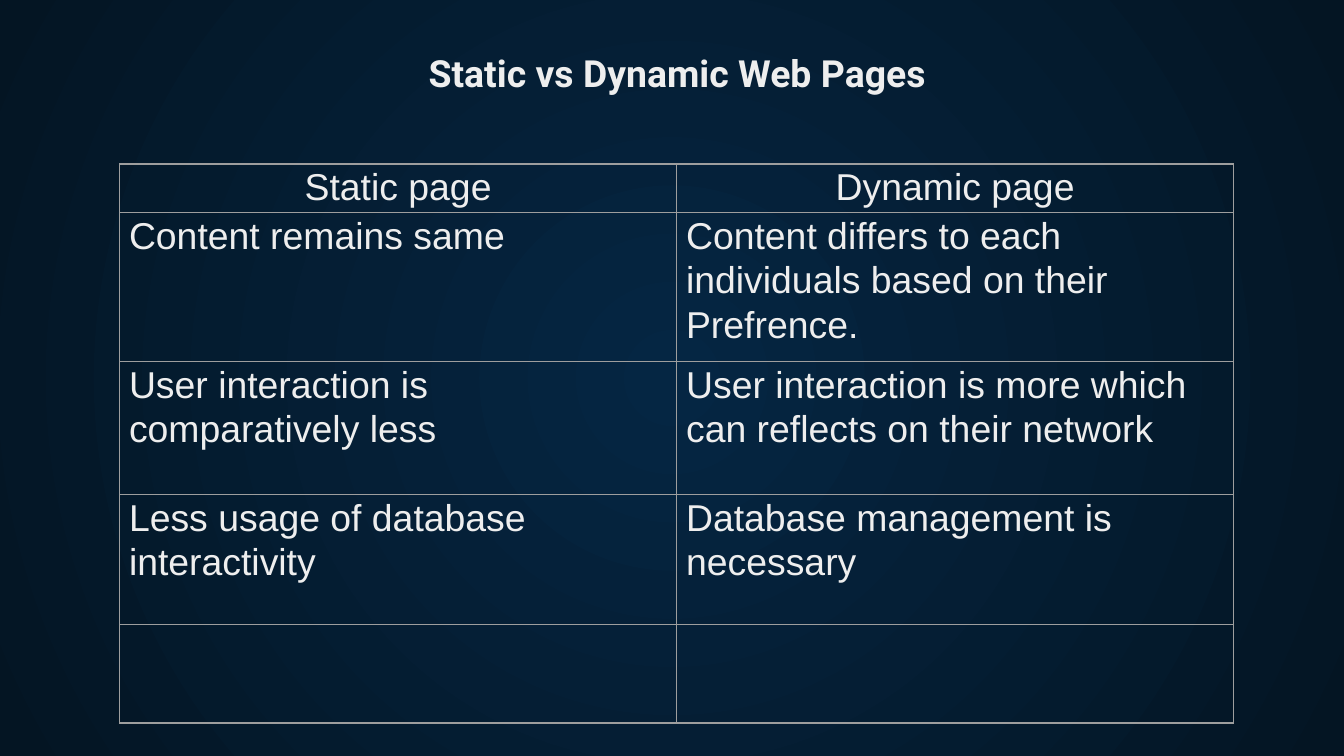
from lxml import etree
from pptx import Presentation
from pptx.dml.color import RGBColor
from pptx.enum.text import MSO_ANCHOR, PP_ALIGN
from pptx.oxml import parse_xml
from pptx.oxml.ns import nsdecls, qn
from pptx.util import Inches, Pt

CENTER, LEFT = PP_ALIGN.CENTER, PP_ALIGN.LEFT
BOTTOM, TOP = MSO_ANCHOR.BOTTOM, MSO_ANCHOR.TOP
TITLE_ONLY = 5
WIDTH = 10
HEIGHT = WIDTH * 9 / 16
COLORS = {"center": "052643", "edge": "041523", "text": "EEEEEE", "border": "9E9E9E"}


class Deck:
    """Holds the style and the current slide."""

    def __init__(self):
        self.prs = Presentation()
        self.prs.slide_width, self.prs.slide_height = Inches(WIDTH), Inches(HEIGHT)
        self.slide = self.prs.slides.add_slide(self.prs.slide_layouts[TITLE_ONLY])

    def box(self, x, y, w, h):
        """Turn shares of the slide's size into lengths."""
        sw, sh = self.prs.slide_width, self.prs.slide_height
        return int(x * sw), int(y * sh), int(w * sw), int(h * sh)

    def font(self, p, name, size=20, bold=False):
        p.font.name, p.font.size, p.font.bold = name, Pt(size), bold
        p.font.color.rgb = RGBColor.from_string(COLORS["text"])

    def background(self, center, edge):
        fill = self.slide.background.fill
        fill.gradient()
        for stop, color, pos in zip(fill.gradient_stops, (center, edge), (0, 1)):
            stop.color.rgb = RGBColor.from_string(COLORS[color])
            stop.position = pos
        grad = self.slide.element.find(".//" + qn("a:gradFill"))
        grad.remove(grad.find(qn("a:lin")))
        circle = etree.SubElement(grad, qn("a:path"), path="circle")
        etree.SubElement(circle, qn("a:fillToRect"), l="50000", t="50000", r="50000", b="50000")

    def title(self, text, *share):
        sp = self.slide.shapes.title
        sp.left, sp.top, sp.width, sp.height = self.box(*share)
        tf = sp.text_frame
        tf.margin_left = tf.margin_right = tf.margin_top = tf.margin_bottom = Inches(0.1)
        tf.vertical_anchor, tf.word_wrap = BOTTOM, True
        p = tf.paragraphs[0]
        p.text, p.alignment = text, CENTER
        self.font(p, "Roboto", bold=True)

    def borders(self, cell, color, width=0.75):
        tc_pr = cell._tc.get_or_add_tcPr()
        for i, side in enumerate(("lnL", "lnR", "lnT", "lnB")):
            tc_pr.insert(i, parse_xml(
                f'<a:{side} {nsdecls("a")} w="{Pt(width)}"><a:solidFill>'
                f'<a:srgbClr val="{COLORS[color]}"/></a:solidFill></a:{side}>'))

    def cell(self, cell, text, align):
        cell.fill.background()
        cell.margin_left = cell.margin_right = Inches(0.07)
        cell.margin_top = cell.margin_bottom = 0
        cell.vertical_anchor = TOP
        self.borders(cell, "border")
        if text:
            p = cell.text_frame.paragraphs[0]
            p.text, p.alignment = text, align
            p.line_spacing, p.space_after = 1.07, Pt(8)
            self.font(p, "Arial")

    def table(self, rows, heights, *share):
        frame = self.slide.shapes.add_table(len(rows), len(rows[0]), *self.box(*share))
        tbl = frame.table
        tbl.first_row = tbl.horz_banding = False
        for r, (texts, height) in enumerate(zip(rows, heights)):
            tbl.rows[r].height = Inches(height)
            for c, text in enumerate(texts):
                self.cell(tbl.cell(r, c), text, LEFT if r else CENTER)


# Content
ROWS = [
    ("Static page", "Dynamic page"),
    ("Content remains same ",
     "Content differs to each individuals based on their Prefrence."),
    ("User interaction is comparatively less",
     "User interaction is more which can reflects on their network"),
    ("Less usage of database interactivity", "Database management is necessary"),
    ("", ""),
]
ROW_HEIGHTS = (0.36, 1.11, 0.99, 0.97, 0.73)

# Slide
deck = Deck()
deck.background("center", "edge")
deck.title("Static vs Dynamic Web Pages", 0.079, 0.25 / HEIGHT, 0.85, 0.56 / HEIGHT)
deck.table(ROWS, ROW_HEIGHTS, 0.089, 1.22 / HEIGHT, 0.829, sum(ROW_HEIGHTS) / HEIGHT)
deck.prs.save("out.pptx")
